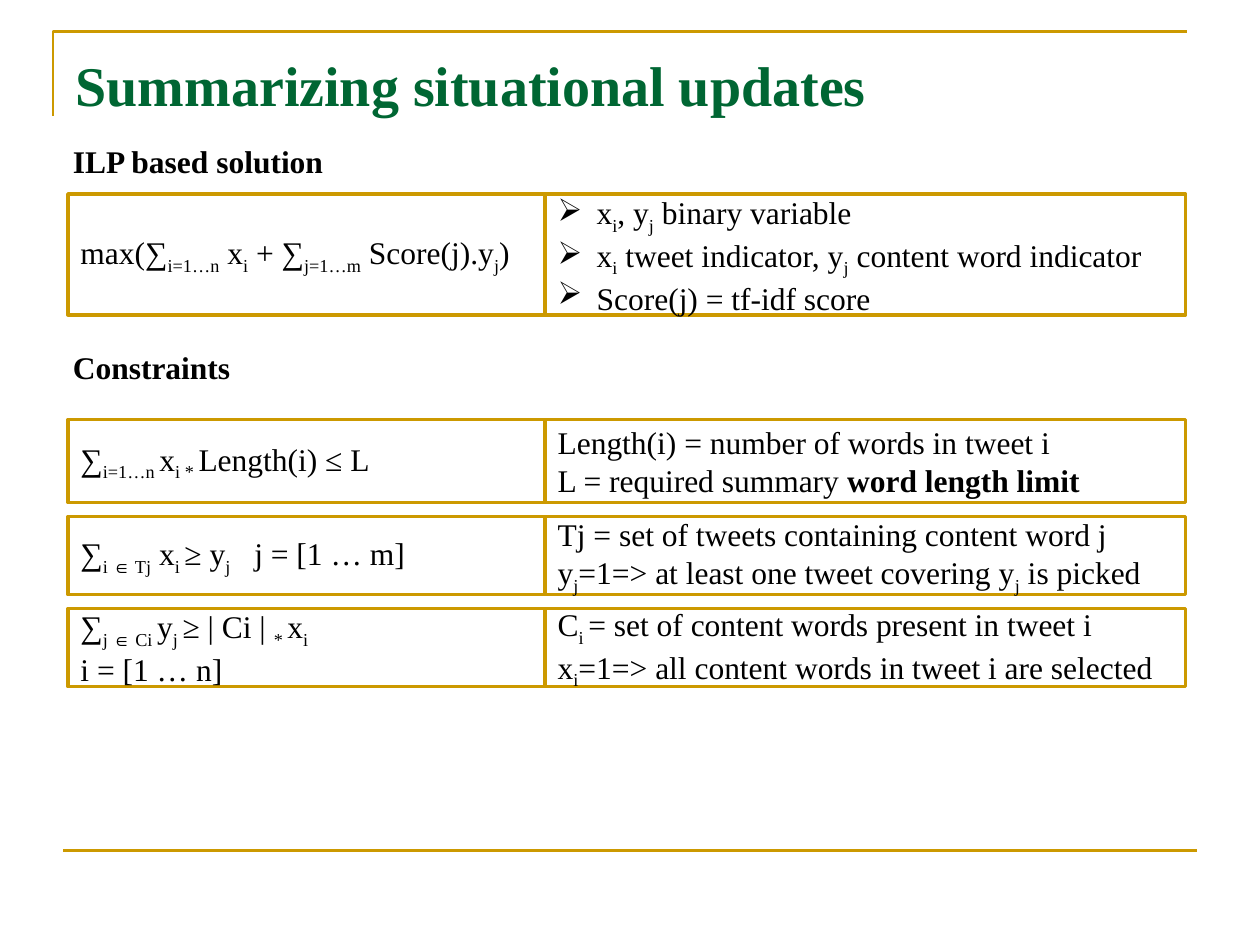
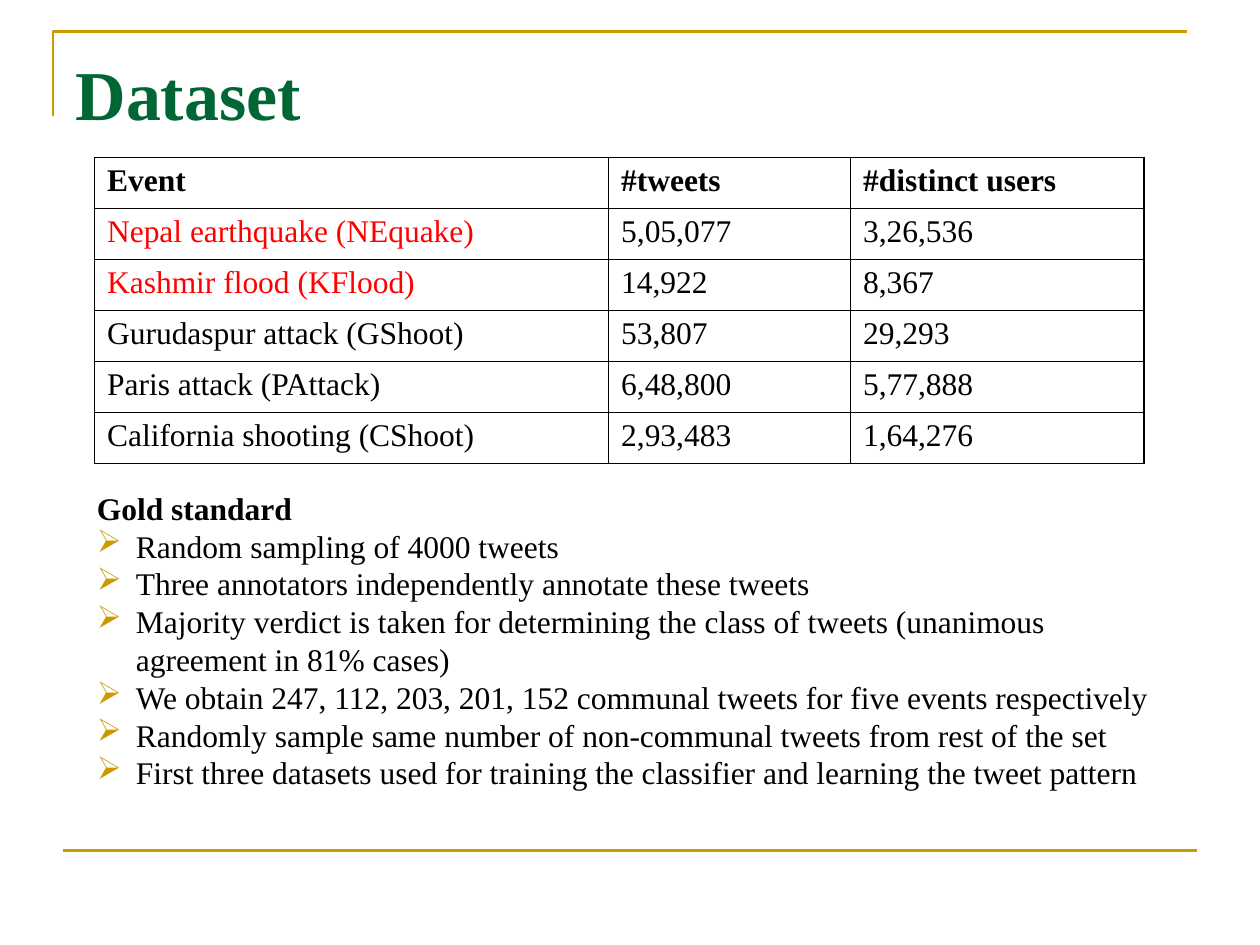
from dataclasses import dataclass

from lxml.etree import SubElement
from pptx import Presentation
from pptx.dml.color import RGBColor
from pptx.enum.shapes import MSO_CONNECTOR as Connector, MSO_SHAPE as Preset
from pptx.enum.text import MSO_ANCHOR as Anchor, MSO_AUTO_SIZE as AutoSize, PP_ALIGN as Align
from pptx.oxml.ns import qn
from pptx.util import Inches, Pt


@dataclass(frozen=True)
class Theme:
    """Colours, font and sizes shared by the slides."""
    gold: str = "CC9900"
    green: str = "006633"
    black: str = "000000"
    white: str = "FFFFFF"
    red: str = "FF0000"
    font: str = "Times New Roman"
    body: int = 18
    band_line: float = 1.5
    box_line: float = 2
    cell_line: float = 1
    bullet: str = "➢"
    bullet_indent: float = 3.1


THEME = Theme()
COLUMNS, ROWS = 100, 75
WIDTH, HEIGHT = Inches(10), Inches(7.5)
UNIT = WIDTH // COLUMNS


def grid(cells):
    """Turn a number of grid cells into a length."""
    return round(cells * UNIT)


@dataclass(frozen=True)
class Box:
    """A region measured in grid columns and rows."""
    left: float
    top: float
    width: float
    height: float

    def frame(self):
        """Return the region as slide lengths."""
        return [grid(cells) for cells in (self.left, self.top, self.width, self.height)]

    def split(self, share):
        """Cut the region in two side by side, the first with the given share."""
        first = self.width * share
        return (Box(self.left, self.top, first, self.height),
                Box(self.left + first, self.top, self.width - first, self.height))


def apply(target, formats):
    """Set each named format value on the target."""
    for name, value in formats.items():
        setattr(target, name, value)


def style_font(font, color=THEME.black, size=THEME.body, bold=False):
    """Give a font its name, size, weight and colour."""
    apply(font, {"name": THEME.font, "size": Pt(size), "bold": bold})
    font.color.rgb = RGBColor.from_string(color)


def style_line(line, width):
    """Draw a line in gold."""
    line.color.rgb = RGBColor.from_string(THEME.gold)
    line.width = Pt(width)


def add_solid_fill(parent, color):
    """Append a solid fill element."""
    fill = SubElement(parent, qn("a:solidFill"))
    SubElement(fill, qn("a:srgbClr"), val=color)


def set_bullet(paragraph, color):
    """Give a paragraph an arrow bullet with a hanging indent."""
    properties = paragraph._p.get_or_add_pPr()
    indent = grid(THEME.bullet_indent)
    properties.set("marL", str(indent))
    properties.set("indent", str(-indent))
    SubElement(SubElement(properties, qn("a:buClr")), qn("a:srgbClr"), val=color)
    SubElement(properties, qn("a:buChar"), char=THEME.bullet)


def set_tab(paragraph, position):
    """Give a paragraph one left tab stop."""
    tabs = SubElement(paragraph._p.get_or_add_pPr(), qn("a:tabLst"))
    SubElement(tabs, qn("a:tab"), pos=str(grid(position)), algn="l")


def add_marked_runs(paragraph, text, bold=False):
    """Write text in which ~ encloses subscripts and ^ encloses bold words."""
    for part_index, part in enumerate(text.split("~")):
        for piece_index, piece in enumerate(part.split("^")):
            if piece:
                run = paragraph.add_run()
                run.text = piece
                style_font(run.font, bold=bold or piece_index % 2 == 1)
                if part_index % 2:
                    run.font._element.set("baseline", "-25000")


def fill_text(text_frame, lines, heading=None, bullet_color=None, tab=None):
    """Write an optional bold heading and then the lines."""
    apply(text_frame, {"word_wrap": True, "auto_size": AutoSize.NONE})
    entries = ([(heading, True)] if heading else []) + [(line, False) for line in lines]
    for index, (text, is_heading) in enumerate(entries):
        paragraph = text_frame.add_paragraph() if index else text_frame.paragraphs[0]
        if bullet_color and not is_heading:
            set_bullet(paragraph, bullet_color)
        if tab:
            set_tab(paragraph, tab)
        paragraph.alignment = Align.LEFT
        add_marked_runs(paragraph, text, is_heading)


def add_text(slide, box, lines=(), **options):
    """Place a plain text box."""
    fill_text(slide.shapes.add_textbox(*box.frame()).text_frame, lines, **options)


def add_panel(slide, box, lines, **options):
    """Place a gold-edged panel with centred-height text."""
    shape = slide.shapes.add_shape(Preset.RECTANGLE, *box.frame())
    shape.shadow.inherit = False
    shape.fill.solid()
    shape.fill.fore_color.rgb = RGBColor.from_string(THEME.white)
    style_line(shape.line, THEME.box_line)
    shape.text_frame.vertical_anchor = Anchor.MIDDLE
    fill_text(shape.text_frame, lines, **options)


def add_formula_row(slide, box, formula, meaning, bullet_color=None, tab=None):
    """Place a formula panel beside the panel that explains it."""
    left, right = box.split(0.427)
    add_panel(slide, left, formula, tab=tab)
    add_panel(slide, right, meaning, bullet_color=bullet_color)


def add_frame(slide):
    """Draw the corner rule at the top and the rule at the foot."""
    left, top, right, bottom = map(grid, (4.2, 2.5, 94.2, 9.2))
    builder = slide.shapes.build_freeform(left, bottom)
    builder.add_line_segments([(left, top), (right, top)], close=False)
    corner = builder.convert_to_shape()
    corner.shadow.inherit = False
    corner.fill.background()
    style_line(corner.line, THEME.band_line)
    foot = slide.shapes.add_connector(
        Connector.STRAIGHT, *map(grid, (5, 67.5, 95, 67.5)))
    SubElement(foot._element.spPr, qn("a:effectLst"))
    style_line(foot.line, THEME.band_line)


def add_titled_slide(presentation, title, size, height):
    """Add a slide with the shared rules and a formatted title."""
    slide = presentation.slides.add_slide(presentation.slide_layouts[5])
    add_frame(slide)
    placeholder = slide.shapes.title
    frame = Box(5, 3, 90, height).frame()
    apply(placeholder, dict(zip(("left", "top", "width", "height"), frame)))
    text_frame = placeholder.text_frame
    text_frame.text = title
    apply(text_frame, {"vertical_anchor": Anchor.TOP, "auto_size": AutoSize.NONE,
                       "margin_top": grid(1), "word_wrap": True})
    paragraph = text_frame.paragraphs[0]
    paragraph.alignment = Align.LEFT
    style_font(paragraph.runs[0].font, THEME.green, size, bold=True)
    return slide


def set_borders(cell):
    """Draw black lines on all sides of a cell."""
    properties = cell._tc.get_or_add_tcPr()
    for index, side in enumerate(("a:lnL", "a:lnR", "a:lnT", "a:lnB")):
        line = properties.makeelement(qn(side), {"w": str(Pt(THEME.cell_line))})
        add_solid_fill(line, THEME.black)
        properties.insert(index, line)


def add_event_table(slide, box, column_widths, rows, highlighted):
    """Place the event table with a bold header and highlighted event names."""
    table = slide.shapes.add_table(len(rows), len(column_widths), *box.frame()).table
    apply(table, {"first_row": False, "horz_banding": False})
    for column, width in zip(table.columns, column_widths):
        column.width = grid(width)
    for row_index, values in enumerate(rows):
        table.rows[row_index].height = grid(box.height / len(rows))
        for column_index, value in enumerate(values):
            cell = table.cell(row_index, column_index)
            cell.text = value
            cell.fill.background()
            set_borders(cell)
            color = THEME.red if value in highlighted else THEME.black
            style_font(cell.text_frame.paragraphs[0].runs[0].font, color,
                       bold=row_index == 0)


def build_summarizing_slide(presentation):
    """Build the slide with the objective and its constraints."""
    slide = add_titled_slide(presentation, "Summarizing situational updates", 32, 8.7)
    add_text(slide, Box(4.8, 10.8, 92.7, 25.2), heading="ILP based solution")
    add_formula_row(
        slide, Box(5.4, 15.4, 88.7, 9.6),
        ["max(∑~i=1…n~ x~i~ + ∑~j=1…m~ Score(j).y~j~)"],
        ["x~i~, y~j~ binary variable",
         "x~i~ tweet indicator, y~j~ content word indicator",
         "Score(j) = tf-idf score"],
        bullet_color=THEME.black)
    add_text(slide, Box(4.8, 27.1, 92.7, 28.3), heading="Constraints")
    constraints = [
        (33.3, 6.6, ["∑~i=1…n ~x~i * ~Length(i) ≤ L"],
         ["Length(i) = number of words in tweet i",
          "L = required summary ^word length limit^"], None),
        (41, 6.2, ["∑~i ∈ Tj~ x~i ~≥ y~j~\tj = [1 … m]"],
         ["Tj = set of tweets containing content word j",
          "y~j~=1=> at least one tweet covering y~j~ is picked"], 13.8),
        (48.3, 6.2, ["∑~j ∈ Ci ~y~j ~≥ | Ci | ~* ~x~i~", "i = [1 … n]"],
         ["C~i ~= set of content words present in tweet i",
          "x~i~=1=> all content words in tweet i are selected"], None),
    ]
    for top, height, formula, meaning, tab in constraints:
        add_formula_row(slide, Box(5.4, top, 88.7, height), formula, meaning, tab=tab)


def build_dataset_slide(presentation):
    """Build the slide with the event table and the gold standard."""
    slide = add_titled_slide(presentation, "Dataset", 40, 7.8)
    rows = [
        ("Event", "#tweets", "#distinct users"),
        ("Nepal earthquake (NEquake)", "5,05,077", "3,26,536"),
        ("Kashmir flood (KFlood)", "14,922", "8,367"),
        ("Gurudaspur attack (GShoot)", "53,807", "29,293"),
        ("Paris attack (PAttack)", "6,48,800", "5,77,888"),
        ("California shooting (CShoot)", "2,93,483", "1,64,276"),
    ]
    add_event_table(slide, Box(7.5, 12.5, 83.3, 24.3), (40.8, 19.2, 23.3), rows,
                    highlighted={rows[1][0], rows[2][0]})
    add_text(
        slide, Box(6.7, 38.3, 85.8, 25.2),
        ["Random sampling of 4000 tweets",
         "Three annotators independently annotate these tweets",
         "Majority verdict is taken for determining the class of tweets "
         "(unanimous agreement in 81% cases)",
         "We obtain 247, 112, 203, 201, 152 communal tweets for five events respectively",
         "Randomly sample same number of non-communal tweets from rest of the set",
         "First three datasets used for training the classifier and learning the tweet pattern"],
        heading="Gold standard", bullet_color=THEME.gold)


def main():
    """Build and save the presentation."""
    presentation = Presentation()
    apply(presentation, {"slide_width": WIDTH, "slide_height": HEIGHT})
    build_summarizing_slide(presentation)
    build_dataset_slide(presentation)
    presentation.save("out.pptx")


if __name__ == "__main__":
    main()
